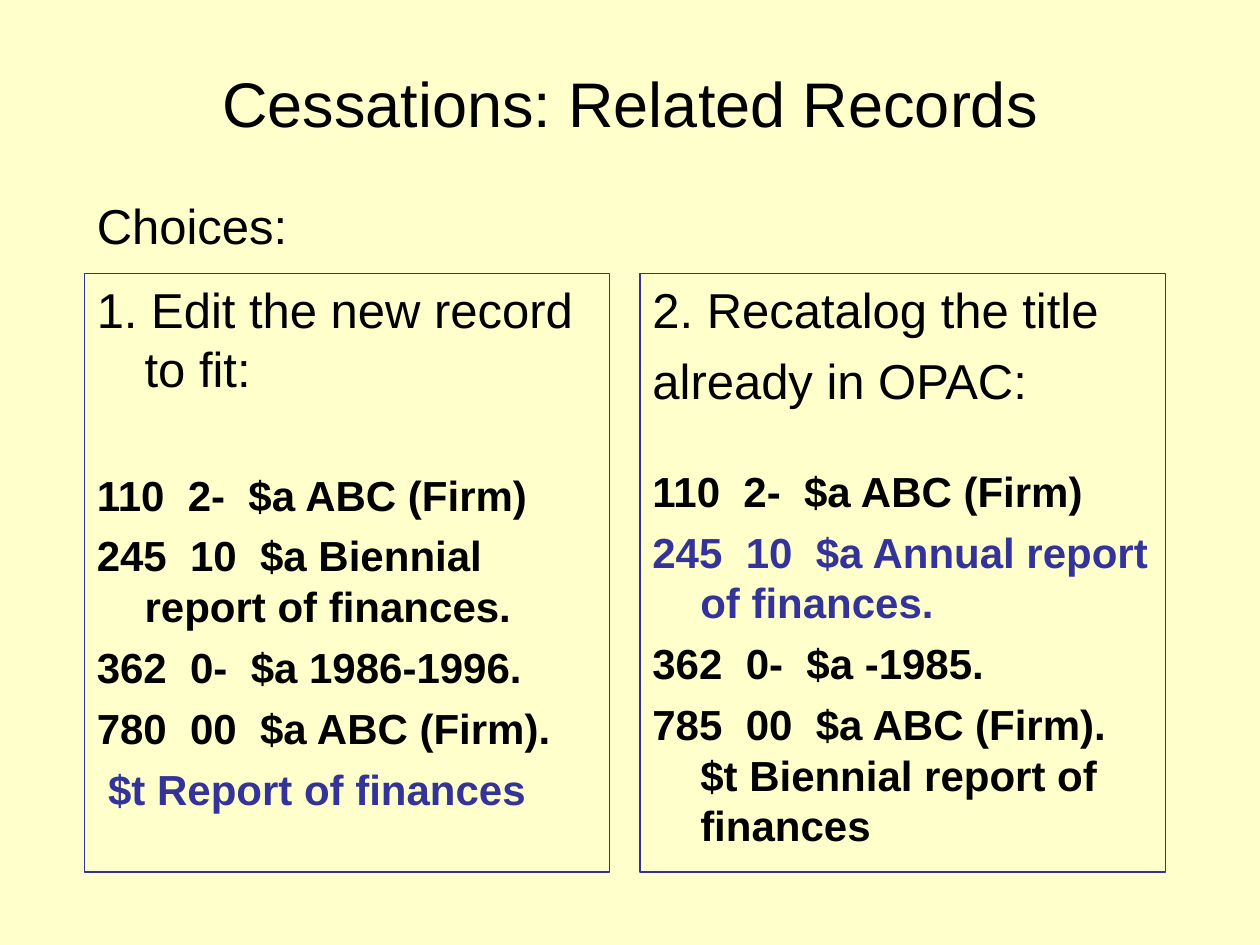
"""Build the slide comparing two ways to catalog related records after a cessation."""
from pptx import Presentation
from pptx.dml.color import RGBColor
from pptx.enum.text import MSO_ANCHOR, PP_ALIGN
from pptx.util import Inches, Pt

COLORS = {"paper": "FFFFCC", "ink": "000000", "accent": "333399"}
HEADING = {"size": Pt(28), "bold": False}
RECORD = {"size": Pt(24), "bold": True}
HANGING, FLUSH = 0.38, 0.09
LEFT, TOP, WIDTH, HEIGHT, PITCH = 0.67, 2.17, 4.17, 4.75, 4.41

deck = Presentation()
deck.slide_width, deck.slide_height = Inches(10), Inches(7.5)
slide = deck.slides.add_slide(deck.slide_layouts[6])
slide.background.fill.solid()
slide.background.fill.fore_color.rgb = RGBColor.from_string(COLORS["paper"])


def add_box(left, top, width, height, **frame_format):
    box = slide.shapes.add_textbox(*map(Inches, (left, top, width, height)))
    for attribute, value in {"word_wrap": True, **frame_format}.items():
        setattr(box.text_frame, attribute, value)
    return box


def write(paragraph, wording, font_format, color="ink"):
    paragraph.text = wording
    for attribute, value in {"name": "Arial", **font_format}.items():
        setattr(paragraph.runs[0].font, attribute, value)
    paragraph.runs[0].font.color.rgb = RGBColor.from_string(COLORS[color])


title = add_box(0.5, 0.3, 9, 1.03, vertical_anchor=MSO_ANCHOR.MIDDLE).text_frame.paragraphs[0]
write(title, "Cessations: Related Records", {"size": Pt(36)})
title.alignment = PP_ALIGN.CENTER

choices = [
    [
        ("1. Edit the new record to fit:", HEADING, "ink", 0, HANGING),
        ("110  2-  $a ABC (Firm)", RECORD, "ink", 41, HANGING),
        ("245  10  $a Biennial report of finances.", RECORD, "ink", 6, HANGING),
        ("362  0-  $a 1986-1996.", RECORD, "ink", 6, HANGING),
        ("780  00  $a ABC (Firm).", RECORD, "ink", 6, HANGING),
        ("$t Report of finances", RECORD, "accent", 6, FLUSH),
    ],
    [
        ("2. Recatalog the title", HEADING, "ink", 0, HANGING),
        ("already in OPAC:", HEADING, "ink", 7, HANGING),
        ("110  2-  $a ABC (Firm)", RECORD, "ink", 32, HANGING),
        ("245  10  $a Annual report of finances.", RECORD, "accent", 6, HANGING),
        ("362  0-  $a -1985.", RECORD, "ink", 6, HANGING),
        ("785  00  $a ABC (Firm). $t Biennial report of finances", RECORD, "ink", 6, HANGING),
    ],
]
for column, lines in enumerate(choices):
    choice = add_box(LEFT + column * PITCH, TOP, WIDTH, HEIGHT)
    choice.line.color.rgb = RGBColor.from_string(COLORS["accent"])
    choice.line.width = Pt(0.75)
    for row, (wording, font_format, color, gap, margin) in enumerate(lines):
        frame = choice.text_frame
        paragraph = frame.add_paragraph() if row else frame.paragraphs[0]
        write(paragraph, wording, font_format, color)
        paragraph.space_before = Pt(gap)
        indent = -margin if margin == HANGING else 0
        properties = paragraph._p.get_or_add_pPr()
        properties.set("marL", str(Inches(margin)))
        properties.set("indent", str(Inches(indent)))

lead_in = add_box(LEFT, 1.5, 1.71, 0.57, word_wrap=False).text_frame.paragraphs[0]
write(lead_in, "Choices:", HEADING)

deck.save("out.pptx")
